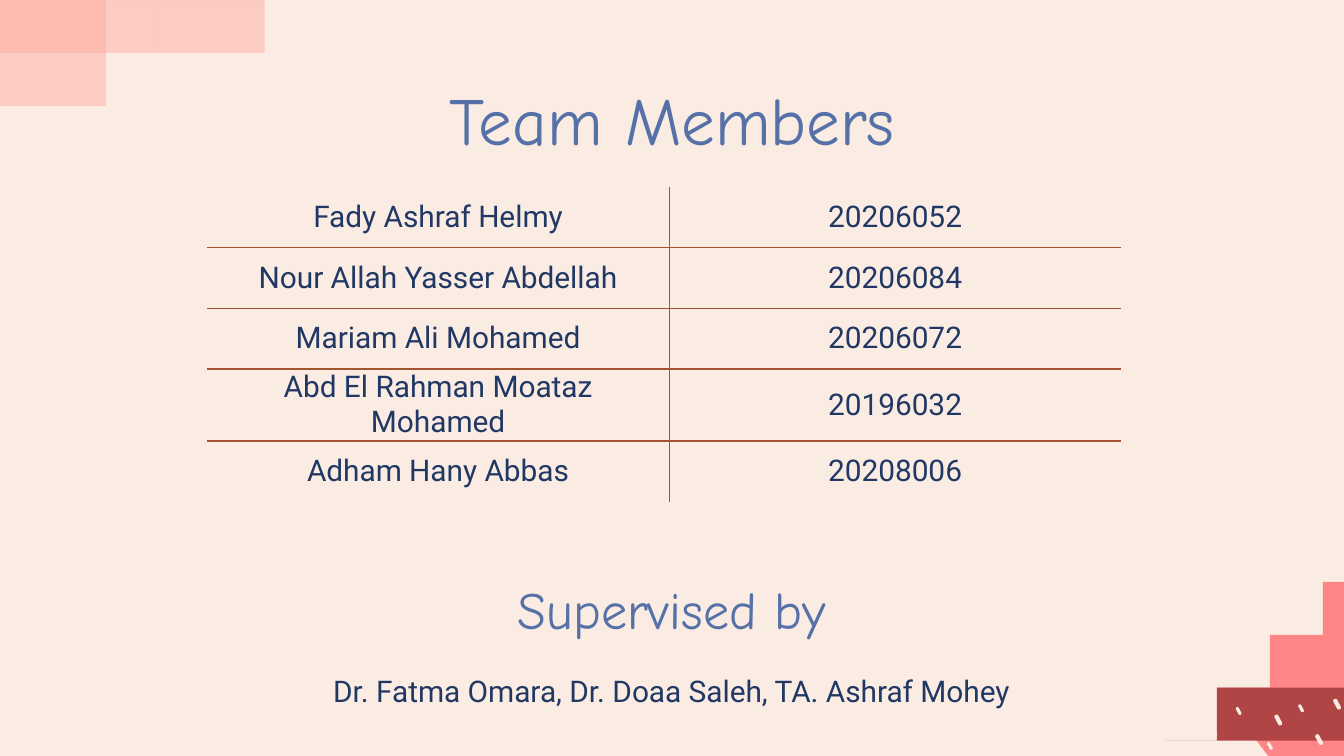
import pptx
import pptx.dml.color
import pptx.enum.shapes
import pptx.enum.text
import pptx.oxml
import pptx.oxml.ns
import pptx.util
from pptx.util import Cm

CREAM, BLUSH, PINK, BERRY = "FAECE3", "FFA79B", "FF8687", "B14545"
BLUE, NAVY, RUST = "5571A7", "213864", "A15631"
HEADING_FONT, BODY_FONT = "Comic Neue", "Roboto"
CURVE_STEPS = 12

OUTER_CLOUD = [
    (-0.18, 2.24),
    (0.05, 2.34), (0.3, 2.41), (0.56, 2.39),
    (1.02, 2.36), (1.47, 2.11), (1.91, 1.5),
    (2.03, 1.32), (2.21, 1.22), (2.36, 1.22),
    (2.41, 1.22), (2.49, 1.22), (2.54, 1.27),
    (2.57, 1.3), (2.59, 1.32), (2.64, 1.35),
    (2.84, 1.45), (3.07, 1.5), (3.33, 1.47),
    (4.01, 1.45), (4.83, 0.94), (5.38, 0.15),
    (5.74, -0.33), (5.92, -0.86), (5.94, -1.32),
]
INNER_CLOUD = [
    (0.1, -0.89),
    (-0.43, -0.1), (-0.41, 0.79), (0.18, 1.09),
    (0.36, 1.19), (0.58, 1.24), (0.79, 1.24),
    (1.17, 1.22), (1.55, 0.99), (1.88, 0.53),
    (1.98, 0.38), (2.13, 0.28), (2.24, 0.28),
    (2.31, 0.28), (2.36, 0.3), (2.39, 0.33),
    (2.44, 0.36), (2.46, 0.38), (2.49, 0.38),
    (2.67, 0.48), (2.87, 0.53), (3.07, 0.51),
    (3.63, 0.48), (4.29, 0.08), (4.75, -0.56),
]
PINK_HILL = [
    (23.39, 13.36),
    (23.52, 12.93), (23.83, 12.47), (24.26, 12.09),
    (24.84, 11.58), (25.53, 11.3), (26.14, 11.3),
]
BERRY_HILL = [
    (21.97, 14.45),
    (22.17, 14.05), (22.53, 13.64), (23.01, 13.34),
    (23.55, 13), (24.13, 12.83), (24.64, 12.83),
    (25.17, 12.83), (25.6, 13), (25.88, 13.34),
]
SMALL_SEEDS = [(23.41, 13.44), (24.0, 14.1), (24.59, 13.39), (23.41, 14.15)]
LARGE_SEEDS = [(24.16, 13.61), (24.66 + 0.61, 13.31), (22.93, 13.82), (24.93, 13.98)]

MEMBERS = [
    ("Fady Ashraf Helmy", "20206052"),
    ("Nour Allah Yasser Abdellah", "20206084"),
    ("Mariam Ali Mohamed", "20206072"),
    ("Abd El Rahman Moataz Mohamed", "20196032"),
    ("Adham Hany Abbas", "20208006"),
]


def color(hex_code):
    return pptx.dml.color.RGBColor.from_string(hex_code)


def paint(shape, hex_code, opacity=100):
    shape.shadow.inherit = False
    shape.line.fill.background()
    shape.fill.solid()
    shape.fill.fore_color.rgb = color(hex_code)
    if opacity < 100:
        tint = shape.fill._xPr.find(".//" + pptx.oxml.ns.qn("a:srgbClr"))
        alpha = pptx.oxml.parse_xml(
            f'<a:alpha {pptx.oxml.ns.nsdecls("a")} val="{opacity * 1000}"/>')
        tint.append(alpha)


def flatten(curve):
    points = [curve[0]]
    for i in range(0, len(curve) - 1, 3):
        controls = curve[i:i + 4]
        for step in range(1, CURVE_STEPS + 1):
            t = step / CURVE_STEPS
            weights = ((1 - t) ** 3, 3 * t * (1 - t) ** 2, 3 * t * t * (1 - t), t ** 3)
            points.append(tuple(
                sum(w * p[axis] for w, p in zip(weights, controls)) for axis in (0, 1)))
    return points


def add_blob(slide, curve, closing, hex_code, opacity=100):
    points = flatten(curve) + closing
    builder = slide.shapes.build_freeform(*points[0], scale=float(Cm(1)))
    builder.add_line_segments(points[1:], close=True)
    paint(builder.convert_to_shape(), hex_code, opacity)


def add_seeds(slide, centers, width, length):
    for x, y in centers:
        seed = slide.shapes.add_shape(
            pptx.enum.shapes.MSO_SHAPE.ROUNDED_RECTANGLE,
            Cm(x - width / 2), Cm(y - length / 2), Cm(width), Cm(length))
        seed.adjustments[0] = 0.5
        seed.rotation = -28
        paint(seed, CREAM)


def format_paragraph(paragraph, font, size, hex_code):
    paragraph.alignment = pptx.enum.text.PP_ALIGN.CENTER
    for run in paragraph.runs:
        run.font.name = font
        run.font.size = pptx.util.Pt(size)
        run.font.color.rgb = color(hex_code)


def add_title(slide, text):
    title = slide.shapes.add_textbox(Cm(2), Cm(1.45), Cm(21.4), Cm(1.6)).text_frame
    title.word_wrap = True
    title.vertical_anchor = pptx.enum.text.MSO_ANCHOR.MIDDLE
    title.margin_left = title.margin_right = title.margin_top = title.margin_bottom = 0
    title.text = text
    format_paragraph(title.paragraphs[0], HEADING_FONT, 36, BLUE)


def add_supervisors(slide, heading, names):
    credits = slide.shapes.add_textbox(Cm(1.57), Cm(10.19), Cm(22.25), Cm(4.1)).text_frame
    credits.word_wrap = True
    credits.text = f"{heading}\n{names}"
    styles = [(HEADING_FONT, 28, BLUE), (BODY_FONT, 16, NAVY)]
    for paragraph, style in zip(credits.paragraphs, styles):
        paragraph.line_spacing = 1.5
        paragraph.space_after = pptx.util.Pt(8)
        format_paragraph(paragraph, *style)


def set_borders(cell, visible_sides):
    for position, side in enumerate("LRTB"):
        if side in visible_sides:
            stroke = f'<a:solidFill><a:srgbClr val="{RUST}"/></a:solidFill>'
        else:
            stroke = "<a:noFill/>"
        border = pptx.oxml.parse_xml(
            f'<a:ln{side} {pptx.oxml.ns.nsdecls("a")} w="{pptx.util.Pt(1)}">{stroke}</a:ln{side}>')
        cell._tc.get_or_add_tcPr().insert(position, border)


def add_member_table(slide, members):
    last_row = len(members) - 1
    table = slide.shapes.add_table(
        len(members), 2, Cm(3.91), Cm(3.53), Cm(17.27), Cm(1.15 * len(members))).table
    table.first_row = table.horz_banding = False
    table.columns[0].width, table.columns[1].width = Cm(8.74), Cm(8.53)
    for r, member in enumerate(members):
        table.rows[r].height = Cm(1.15)
        for c, text in enumerate(member):
            cell = table.cell(r, c)
            cell.text = text
            cell.vertical_anchor = pptx.enum.text.MSO_ANCHOR.MIDDLE
            cell.margin_top = cell.margin_bottom = 0
            cell.fill.background()
            format_paragraph(cell.text_frame.paragraphs[0], BODY_FONT, 16, NAVY)
            sides = "R" if c == 0 else "L"
            sides += "T" if r > 0 else ""
            sides += "B" if r < last_row else ""
            set_borders(cell, sides)


def main():
    presentation = pptx.Presentation()
    presentation.slide_width, presentation.slide_height = Cm(25.4), Cm(14.29)
    slide = presentation.slides.add_slide(presentation.slide_layouts[6])
    slide.background.fill.solid()
    slide.background.fill.fore_color.rgb = color(CREAM)

    add_blob(slide, OUTER_CLOUD, [(-0.18, -1.32)], BLUSH, 47)
    add_blob(slide, INNER_CLOUD, [], BLUSH, 47)
    add_blob(slide, PINK_HILL, [(26.14, 16.84)], PINK)
    add_blob(slide, BERRY_HILL, [(25.88, 14.45)], BERRY)
    add_seeds(slide, SMALL_SEEDS, 0.06, 0.16)
    add_seeds(slide, LARGE_SEEDS, 0.08, 0.22)

    add_title(slide, "Team Members")
    add_member_table(slide, MEMBERS)
    add_supervisors(slide, "Supervised by",
                    "Dr. Fatma Omara, Dr. Doaa Saleh, TA. Ashraf Mohey")
    presentation.save("out.pptx")


if __name__ == "__main__":
    main()
